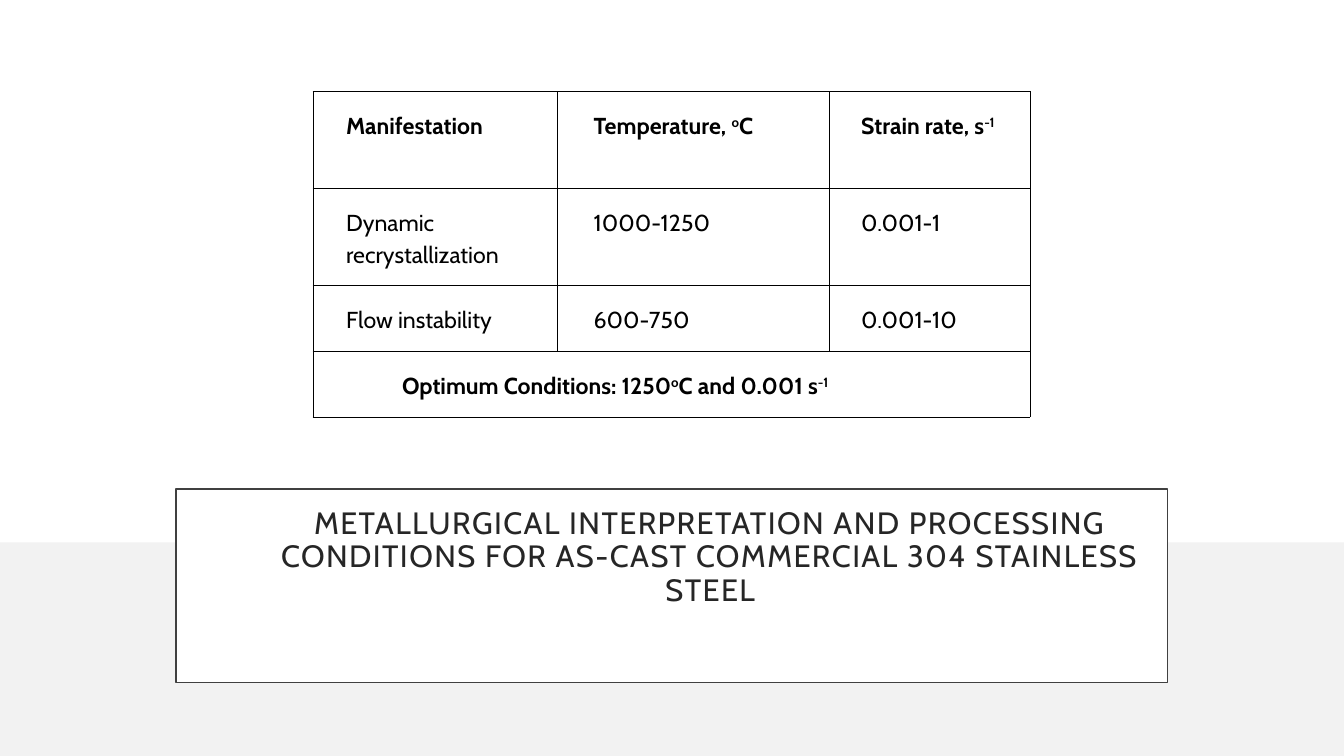
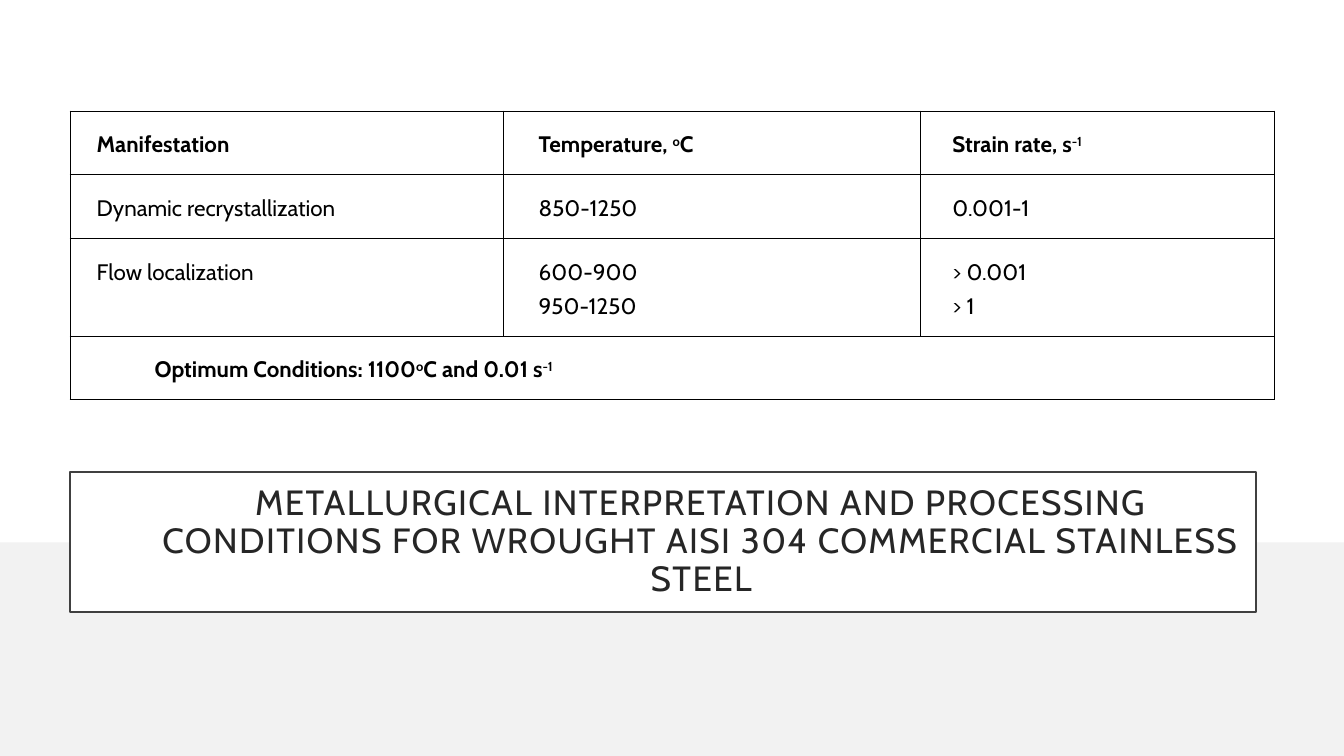
"""Build two slides of metallurgical interpretation tables for 304 stainless steel."""
import lxml.etree
import pptx
import pptx.dml.color
import pptx.enum.shapes
import pptx.enum.text
import pptx.oxml.ns
import pptx.util

COLORS = {"background": "F2F2F2", "panel": "FFFFFF", "outline": "404040",
          "title": "262626", "table": "000000"}
FONT = "Cabin"
TITLE_INDENT = pptx.util.Inches(1.52)
HEADER = ["Manifestation", "Temperature, ^o^C", "Strain rate, s^-1^"]

SLIDES = [
    {
        "title": "METALLURGICAL INTERPRETATION AND PROCESSING CONDITIONS "
                 "FOR AS-CAST COMMERCIAL 304 STAINLESS STEEL",
        "title_box": (13.12, 64.67, 73.75, 25.6),
        "title_size": 44,
        "title_bottom_inset": 1.3,
        "table_corner": (23.28, 12.13),
        "columns": [18.15, 20.25, 14.96],
        "rows": [12.73, 12.73, 8.53, 8.53],
        "text_size": 33,
        "inset": 0.33,
        "indents": [0.33, 0.4, 0.31],
        "optimum_indent": 1.44,
        "cells": [
            HEADER,
            ["Dynamic recrystallization", "1000-1250", "0.001-1"],
            ["Flow instability", "600-750", "0.001-10"],
            ["Optimum Conditions: 1250^o^C and 0.001 s^-1^"],
        ],
    },
    {
        "title": "METALLURGICAL INTERPRETATION AND PROCESSING CONDITIONS "
                 "FOR WROUGHT AISI 304 COMMERCIAL STAINLESS STEEL",
        "title_box": (5.21, 62.47, 88.23, 18.47),
        "title_size": 50,
        "title_bottom_inset": 0.2,
        "table_corner": (5.21, 14.67),
        "columns": [32.21, 31.05, 26.32],
        "rows": [8.27, 8.27, 12.73, 8.27],
        "text_size": 32,
        "inset": 0.32,
        "indents": [0.21, 0.39, 0.32],
        "optimum_indent": 1.36,
        "cells": [
            HEADER,
            ["Dynamic recrystallization", "850-1250", "0.001-1"],
            ["Flow localization", "600-900\n950-1250", "> 0.001\n> 1"],
            ["Optimum Conditions: 1100^o^C and 0.01 s^-1^"],
        ],
    },
]

presentation = pptx.Presentation()
presentation.slide_width = pptx.util.Inches(26.67)
presentation.slide_height = pptx.util.Inches(15)
COLUMN = presentation.slide_width / 100
ROW = presentation.slide_height / 100


def add_panel(slide, left, top, width, height):
    """Add a white rectangle placed in hundredths of the slide."""
    shape = slide.shapes.add_shape(
        pptx.enum.shapes.MSO_SHAPE.RECTANGLE,
        int(left * COLUMN), int(top * ROW), int(width * COLUMN), int(height * ROW))
    shape.shadow.inherit = False
    shape.fill.solid()
    shape.fill.fore_color.rgb = pptx.dml.color.RGBColor.from_string(COLORS["panel"])
    shape.line.fill.background()
    return shape


def format_run(run, size, color, bold=False):
    """Set the font, size, colour and weight of a run."""
    run.font.name = FONT
    run.font.size = pptx.util.Pt(size)
    run.font.bold = bold
    run.font.color.rgb = pptx.dml.color.RGBColor.from_string(COLORS[color])


for content in SLIDES:
    slide = presentation.slides.add_slide(presentation.slide_layouts[6])
    slide.background.fill.solid()
    slide.background.fill.fore_color.rgb = pptx.dml.color.RGBColor.from_string(
        COLORS["background"])
    add_panel(slide, 0, 0, 100, 71.73)

    title = add_panel(slide, *content["title_box"])
    title.line.color.rgb = pptx.dml.color.RGBColor.from_string(COLORS["outline"])
    title.line.width = pptx.util.Pt(2.5)
    text_frame = title.text_frame
    text_frame.word_wrap = True
    text_frame.vertical_anchor = pptx.enum.text.MSO_ANCHOR.MIDDLE
    text_frame.margin_left = text_frame.margin_right = pptx.util.Inches(0.3)
    text_frame.margin_top = pptx.util.Inches(0.2)
    text_frame.margin_bottom = pptx.util.Inches(content["title_bottom_inset"])
    text_frame.text = content["title"]
    paragraph = text_frame.paragraphs[0]
    paragraph.alignment = pptx.enum.text.PP_ALIGN.CENTER
    paragraph.line_spacing = 0.9
    paragraph._p.get_or_add_pPr().set("marL", str(TITLE_INDENT))
    format_run(paragraph.runs[0], content["title_size"], "title")
    paragraph.runs[0]._r.get_or_add_rPr().set("spc", "200")

    left, top = content["table_corner"]
    table = slide.shapes.add_table(
        len(content["rows"]), len(content["columns"]), int(left * COLUMN), int(top * ROW),
        int(sum(content["columns"]) * COLUMN), int(sum(content["rows"]) * ROW)).table
    table.first_row = False
    table.horz_banding = False
    for table_column, width in zip(table.columns, content["columns"]):
        table_column.width = int(width * COLUMN)
    for table_row, height in zip(table.rows, content["rows"]):
        table_row.height = int(height * ROW)
    last_row = len(content["rows"]) - 1
    table.cell(last_row, 0).merge(table.cell(last_row, len(content["columns"]) - 1))

    for cell in table.iter_cells():
        cell.margin_left = cell.margin_right = pptx.util.Inches(content["inset"])
        cell.margin_top = cell.margin_bottom = pptx.util.Inches(content["inset"])
        properties = cell._tc.get_or_add_tcPr()
        for side in ("a:lnL", "a:lnR", "a:lnT", "a:lnB"):
            border = lxml.etree.SubElement(
                properties, pptx.oxml.ns.qn(side), w=str(pptx.util.Pt(1)))
            fill = lxml.etree.SubElement(border, pptx.oxml.ns.qn("a:solidFill"))
            lxml.etree.SubElement(fill, pptx.oxml.ns.qn("a:srgbClr"), val=COLORS["table"])
        cell.fill.background()

    for row_index, texts in enumerate(content["cells"]):
        for column_index, text in enumerate(texts):
            indent = content["indents"][column_index]
            if row_index == last_row:
                indent = content["optimum_indent"]
            text_frame = table.cell(row_index, column_index).text_frame
            for line_index, line in enumerate(text.split("\n")):
                paragraph = text_frame.paragraphs[0]
                if line_index:
                    paragraph = text_frame.add_paragraph()
                    paragraph.space_before = pptx.util.Pt(4)
                paragraph.line_spacing = 1.15
                paragraph._p.get_or_add_pPr().set("marL", str(pptx.util.Inches(indent)))
                for part_index, part in enumerate(line.split("^")):
                    if not part:
                        continue
                    run = paragraph.add_run()
                    run.text = part
                    format_run(run, content["text_size"], "table",
                               bold=row_index in (0, last_row))
                    if part_index % 2:
                        run._r.get_or_add_rPr().set("baseline", "30000")

presentation.save("out.pptx")
